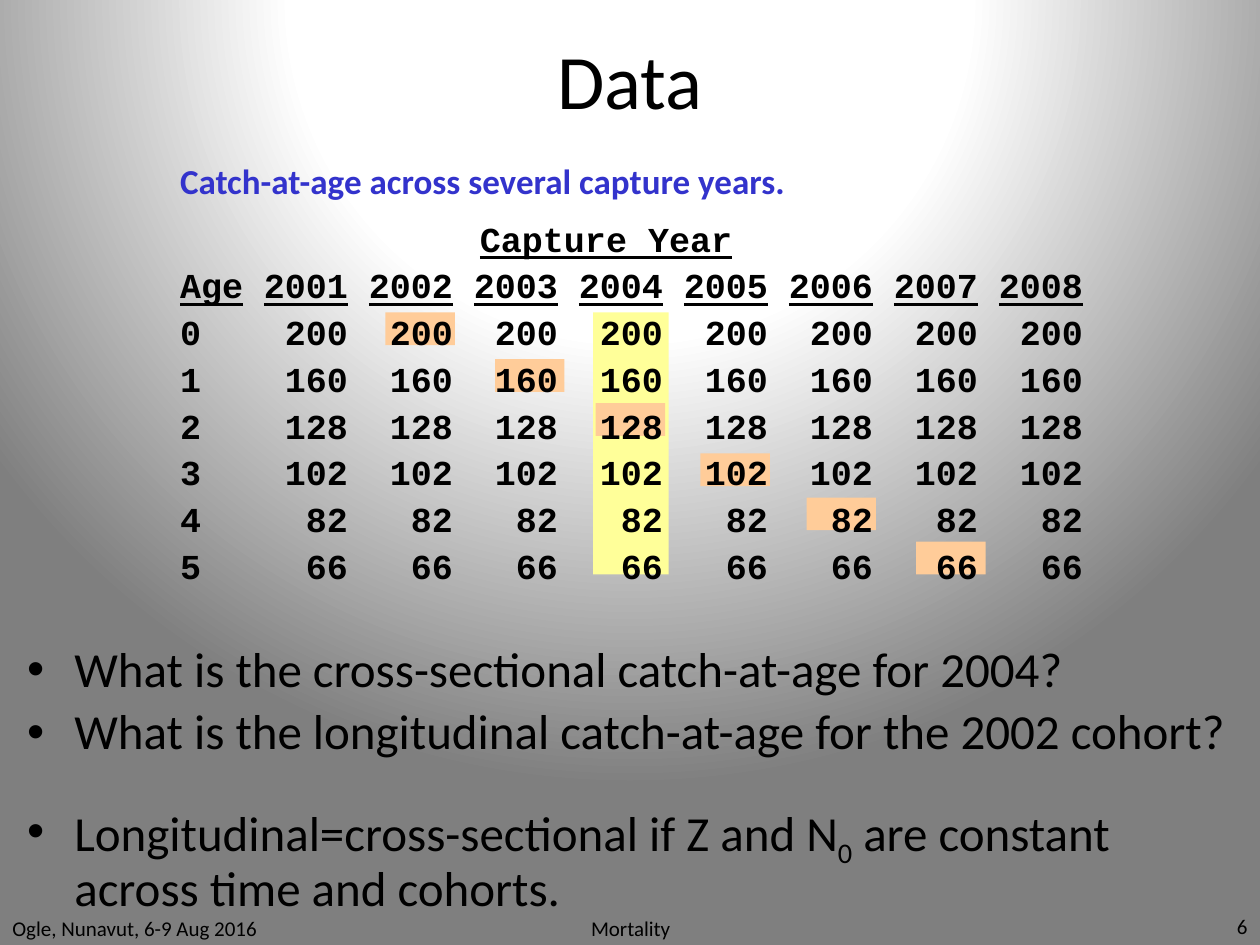
"""Build the catch-at-age data slide."""
from dataclasses import dataclass
from typing import Any

from pptx import Presentation, oxml
from pptx import util as u
from pptx.dml.color import RGBColor
from pptx.enum import shapes, text
from pptx.oxml import ns

BLACK = RGBColor(0x00, 0x00, 0x00)
BLUE = RGBColor(0x33, 0x33, 0xCC)
YELLOW = RGBColor(0xFF, 0xFF, 0x99)
ORANGE = RGBColor(0xFF, 0xCC, 0x99)
LEFT, CENTER, RIGHT = text.PP_ALIGN.LEFT, text.PP_ALIGN.CENTER, text.PP_ALIGN.RIGHT
MIDDLE, TOP = text.MSO_ANCHOR.MIDDLE, text.MSO_ANCHOR.TOP
GRADIENT = ((40, "FEFEFE"), (43, "FFFFFF"), (100, "7F7F7F"))

YEARS = range(2001, 2009)
CATCHES = (200, 160, 128, 102, 82, 66)
CHARACTER = u.Pt(12)
YEAR_TABS = [("r", CHARACTER * (8 + 5 * i)) for i in range(len(YEARS))]
COHORT = ((7.77, 6.3), (9.98, 7.24), (12.01, 8.13),
          (14.12, 9.14), (16.26, 10.03), (18.47, 10.92))


@dataclass
class Page:
    slide: Any
    font: str = "Calibri"
    color: RGBColor = BLACK

    def background(self):
        stops = "".join(f'<a:gs pos="{place * 1000}"><a:srgbClr val="{color}"/></a:gs>'
                        for place, color in GRADIENT)
        self.slide.element.cSld.insert(0, oxml.parse_xml(
            f'<p:bg {ns.nsdecls("p", "a")}><p:bgPr><a:gradFill rotWithShape="1">'
            f'<a:gsLst>{stops}</a:gsLst><a:path path="circle">'
            '<a:fillToRect l="50000" t="-80000" r="50000" b="180000"/></a:path>'
            '</a:gradFill><a:effectLst/></p:bgPr></p:bg>'))

    def rectangle(self, left, top, width, height, color, parent=None):
        shape = (parent or self.slide).shapes.add_shape(
            shapes.MSO_SHAPE.RECTANGLE, u.Cm(left), u.Cm(top), u.Cm(width), u.Cm(height))
        shape.shadow.inherit = False
        shape.fill.solid()
        shape.fill.fore_color.rgb = color
        shape.line.fill.background()

    def highlights(self, places, width, height, color):
        group = self.slide.shapes.add_group_shape()
        for left, top in places:
            self.rectangle(left, top, width, height, color, group)

    def box(self, left, top, width, height, anchor=TOP):
        frame = self.slide.shapes.add_textbox(
            u.Cm(left), u.Cm(top), u.Cm(width), u.Cm(height)).text_frame
        frame.word_wrap = True
        frame.vertical_anchor = anchor
        return frame

    def paragraph(self, frame, runs, size, align=LEFT, before=0, spacing=1.0,
                  font=None, color=None, bold=False, tabs=(), bullet=False):
        first = frame.paragraphs[0]
        paragraph = frame.add_paragraph() if first.runs else first
        paragraph.alignment = align
        paragraph.line_spacing = spacing
        paragraph.space_before = u.Pt(before)
        properties = paragraph._p.get_or_add_pPr()
        if bullet:
            properties.set("marL", str(u.Cm(0.95)))
            properties.set("indent", str(u.Cm(-0.95)))
            properties.append(oxml.parse_xml(
                f'<a:buFont {ns.nsdecls("a")} typeface="Arial"/>'))
            properties.append(oxml.parse_xml(
                f'<a:buChar {ns.nsdecls("a")} char="\u2022"/>'))
        if tabs:
            stops = "".join(f'<a:tab pos="{place}" algn="{kind}"/>' for kind, place in tabs)
            properties.append(oxml.parse_xml(
                f'<a:tabLst {ns.nsdecls("a")}>{stops}</a:tabLst>'))
        for words, style in runs:
            run = paragraph.add_run()
            run.text = words
            run.font.size = u.Pt(size)
            run.font.name = font or self.font
            run.font.color.rgb = color or self.color
            run.font.bold = bold
            run.font.underline = style == "underline"
            if style == "subscript":
                run.font._element.set("baseline", "-25000")

    def label(self, words, place, size, align):
        self.paragraph(self.box(*place, MIDDLE), [(words, "")], size, align)


presentation = Presentation()
presentation.slide_width, presentation.slide_height = u.Cm(25.4), u.Cm(19.05)
page = Page(presentation.slides.add_slide(presentation.slide_layouts[6]))
page.background()
page.rectangle(11.96, 6.3, 1.52, 5.28, YELLOW)
page.highlights(COHORT, 1.4, 0.66, ORANGE)

page.label("Data", (1.27, 0, 22.86, 3.18), 44, CENTER)
page.label("Ogle, Nunavut, 6-9 Aug 2016", (0, 18.36, 5.92, 0.69), 12, LEFT)
page.label("Mortality", (8.69, 18.36, 8.05, 0.69), 12, CENTER)
page.label("6", (19.48, 18.29, 5.92, 0.76), 12, RIGHT)

catch = page.box(3.38, 3.18, 19.05, 8.69)
page.paragraph(catch, [("Catch-at-age across several capture years.", "")], 20,
               spacing=0.9, color=BLUE, bold=True)
mono = dict(size=20, spacing=0.9, font="Courier New", bold=True)
page.paragraph(catch, [("\t", ""), ("Capture Year", "underline")], before=11.6,
               tabs=[("ctr", u.Cm(8.59))], **mono)
first_year, *later_years = map(str, YEARS)
rows = [[("Age", "underline"), ("\t", ""),
         ("\t".join([first_year, *later_years]), "underline")]]
rows += [[("\t".join([str(age)] + [str(count)] * len(YEARS)), "")]
         for age, count in enumerate(CATCHES)]
for row in rows:
    page.paragraph(catch, row, before=5.1, tabs=YEAR_TABS, **mono)

questions = page.box(0.3, 12.88, 24.77, 5.54)
for before, runs in (
        (0, [("What is the cross-sectional catch-at-age for 2004?", "")]),
        (5.5, [("What is the longitudinal catch-at-age for the 2002 cohort?", "")]),
        (24.5, [("Longitudinal=cross-sectional if Z and N", ""), ("0", "subscript"),
                (" are constant across time and cohorts.", "")])):
    page.paragraph(questions, runs, 28, before=before, spacing=0.9, bullet=True)

presentation.save("out.pptx")
